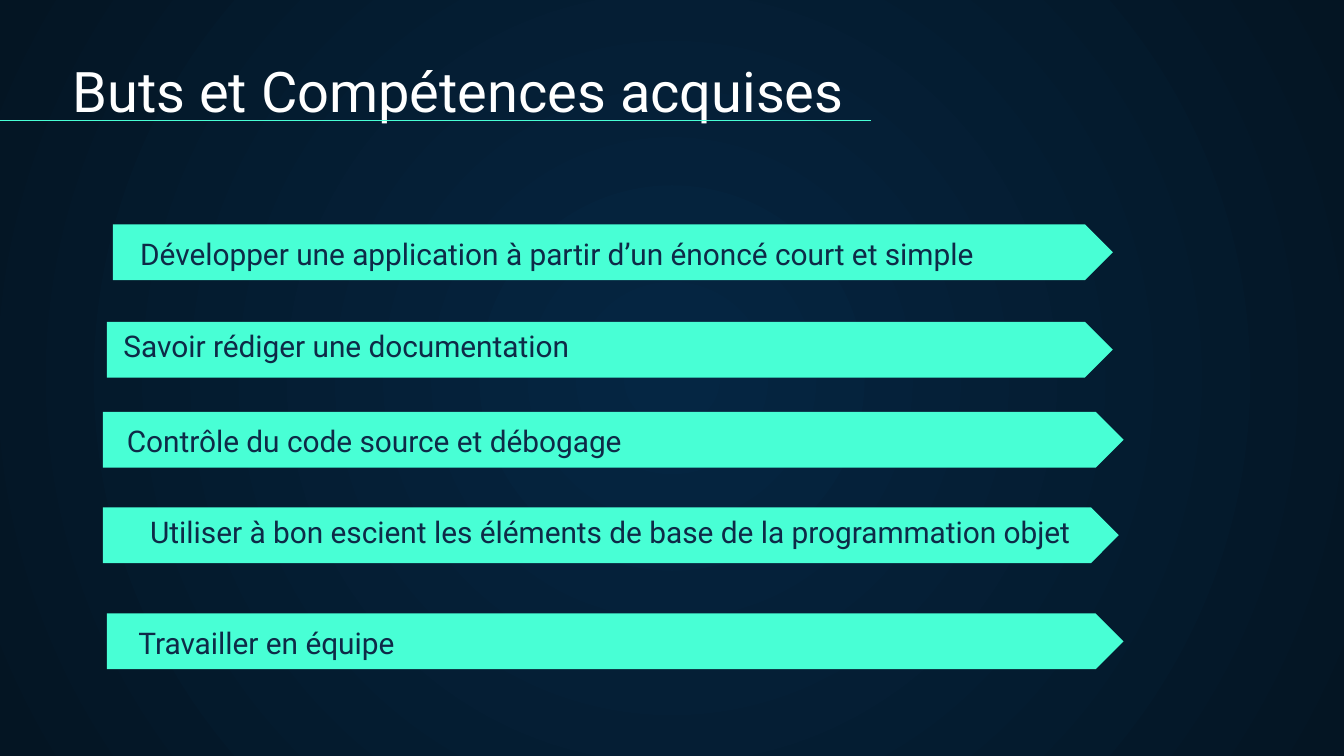
import dataclasses

import pptx
import pptx.dml.color
import pptx.enum.shapes
import pptx.enum.text
import pptx.oxml
import pptx.oxml.ns
import pptx.shapes.base
import pptx.slide
import pptx.util

RGB = pptx.dml.color.RGBColor
MINT = RGB(0x48, 0xFF, 0xD5)
NAVY = RGB(0x0E, 0x2A, 0x47)
WHITE = RGB(0xFF, 0xFF, 0xFF)
GLOW = RGB(0x05, 0x26, 0x43)
EDGE = RGB(0x04, 0x15, 0x23)

SCALE = 4572  # EMU in one px, 200 px to the inch
WIDTH, HEIGHT = 2000, 1125
BAR_H = 83
PAD = 20
LEFT = pptx.enum.text.PP_ALIGN.LEFT
RIGHT = pptx.enum.text.PP_ALIGN.RIGHT


@dataclasses.dataclass(frozen=True)
class Box:
    x: int
    y: int
    w: int
    h: int

    def emu(self) -> tuple[int, ...]:
        return tuple(n * SCALE for n in dataclasses.astuple(self))


@dataclasses.dataclass(frozen=True)
class Skill:
    text: str
    bar: Box
    label: Box
    align: pptx.enum.text.PP_ALIGN = LEFT


SKILLS = [
    Skill("Développer une application à partir d’un énoncé court et simple",
          Box(168, 334, 1488, BAR_H), Box(135, 322, 1334, 102), RIGHT),
    Skill("Savoir rédiger une documentation",
          Box(159, 479, 1497, BAR_H), Box(164, 521, 1438, 40)),
    Skill("Contrôle du code source et débogage",
          Box(153, 613, 1519, BAR_H), Box(169, 607, 1436, 96)),
    Skill("Utiliser à bon escient les éléments de base de la programmation objet",
          Box(153, 755, 1512, BAR_H), Box(169, 746, 1444, 92), RIGHT),
    Skill("Travailler en équipe",
          Box(159, 913, 1513, BAR_H), Box(153, 961, 454, 42), RIGHT),
]


def apply(target: object, values: dict) -> None:
    for name, value in values.items():
        setattr(target, name, value)


def write(shape: pptx.shapes.base.BaseShape, text: str, size: int,
          color: RGB, align: pptx.enum.text.PP_ALIGN) -> None:
    frame = shape.text_frame
    apply(frame, {
        "word_wrap": True,
        "auto_size": pptx.enum.text.MSO_AUTO_SIZE.NONE,
        "vertical_anchor": pptx.enum.text.MSO_ANCHOR.BOTTOM,
        **{f"margin_{side}": PAD * SCALE
           for side in ("left", "top", "right", "bottom")},
    })
    para = frame.paragraphs[0]
    para.alignment = align
    run = para.add_run()
    run.text = text
    apply(run.font, {"name": "Roboto", "size": pptx.util.Pt(size)})
    run.font.color.rgb = color


def paint(slide: pptx.slide.Slide) -> None:
    """Fill the background with a glow that fades out from the centre."""
    fill = slide.background.fill
    fill.gradient()
    for stop, color in zip(fill.gradient_stops, (GLOW, EDGE)):
        stop.color.rgb = color
    qn = pptx.oxml.ns.qn
    grad = slide.element.find(f".//{qn('a:gradFill')}")
    grad.replace(grad.find(qn("a:lin")), pptx.oxml.parse_xml(
        f'<a:path {pptx.oxml.ns.nsdecls("a")} path="circle">'
        '<a:fillToRect l="50000" t="50000" r="50000" b="50000"/></a:path>'))


def add_title(slide: pptx.slide.Slide, text: str, box: Box) -> None:
    title = slide.shapes.title
    apply(title, dict(zip(("left", "top", "width", "height"), box.emu())))
    write(title, text, 30, WHITE, RIGHT)


def add_rule(slide: pptx.slide.Slide, start: int, end: int, y: int) -> None:
    rule = slide.shapes.add_connector(
        pptx.enum.shapes.MSO_CONNECTOR.STRAIGHT,
        start * SCALE, y * SCALE, end * SCALE, y * SCALE)
    rule.line.color.rgb = MINT
    rule.line.width = pptx.util.Pt(0.75)
    rule.element.spPr.append(pptx.oxml.parse_xml(
        f'<a:effectLst {pptx.oxml.ns.nsdecls("a")}/>'))


def add_skill(slide: pptx.slide.Slide, skill: Skill) -> None:
    bar = slide.shapes.add_shape(
        pptx.enum.shapes.MSO_SHAPE.PENTAGON, *skill.bar.emu())
    bar.shadow.inherit = False
    bar.fill.solid()
    bar.fill.fore_color.rgb = MINT
    bar.line.fill.background()
    label = slide.shapes.add_textbox(*skill.label.emu())
    write(label, skill.text, 16, NAVY, skill.align)


def main() -> None:
    deck = pptx.Presentation()
    apply(deck, {"slide_width": WIDTH * SCALE, "slide_height": HEIGHT * SCALE})
    slide = deck.slides.add_slide(deck.slide_layouts.get_by_name("Title Only"))
    paint(slide)
    add_title(slide, "Buts et Compétences acquises ", Box(-61, 72, 1358, 132))
    add_rule(slide, -130, 1296, 179)
    for skill in SKILLS:
        add_skill(slide, skill)
    deck.save("out.pptx")


if __name__ == "__main__":
    main()
